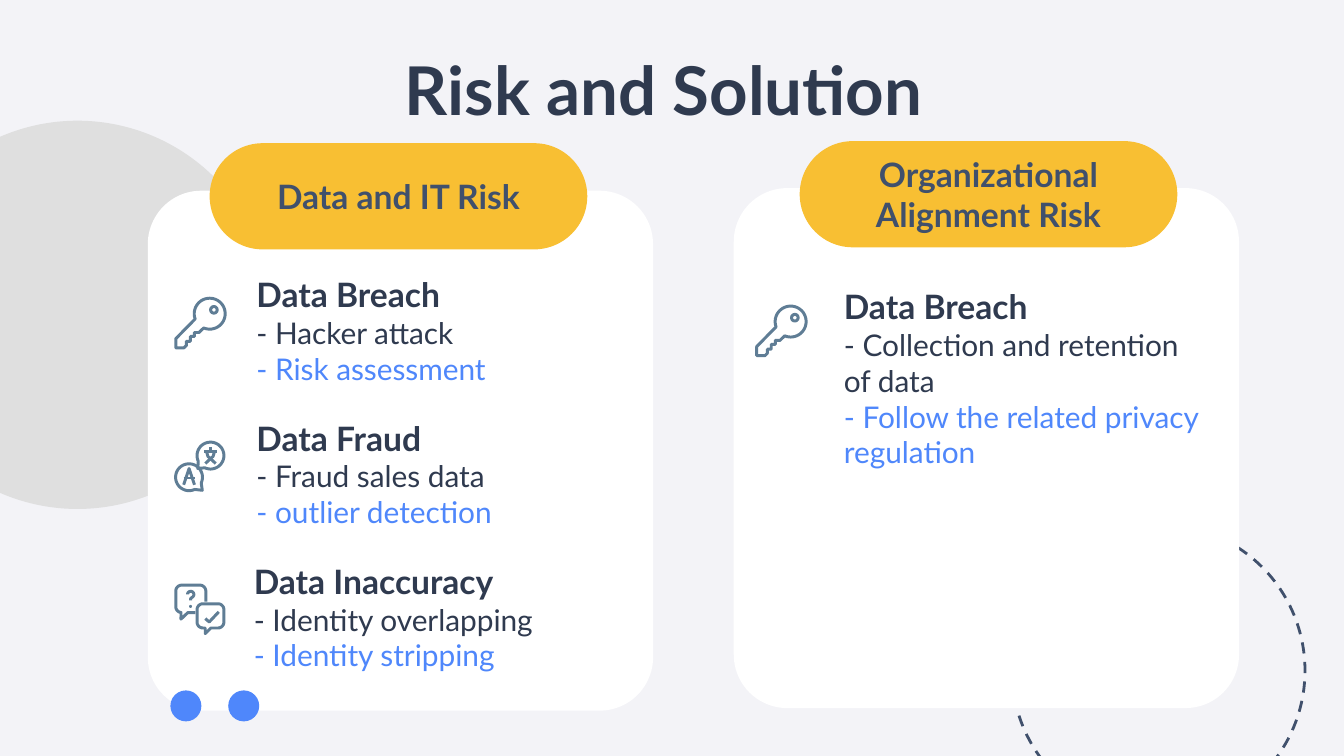
from dataclasses import dataclass
from math import cos, radians, sin
from typing import Callable

from pptx import Presentation
from pptx.dml.color import RGBColor
from pptx.enum.dml import MSO_LINE
from pptx.enum.shapes import MSO_SHAPE
from pptx.enum.text import MSO_ANCHOR, PP_ALIGN
from pptx.util import Pt

NAVY, SLATE, BLUE, STEEL = "2F3A4F", "40506C", "4F87FB", "5F7D95"
WHITE, YELLOW, GREY, PALE = "FFFFFF", "F8BF33", "DFDFDF", "F3F3F7"
INSET = 7.2

Point = tuple[float, float]


@dataclass
class Risk:
    name: str
    threat: str
    remedy: str
    text_box: tuple[float, float, float, float]
    icon_at: Point
    draw_icon: Callable[[float, float], None]


@dataclass
class Card:
    heading: str
    left: float
    top: float
    heading_left: float
    heading_top: float


def colour(value: str) -> RGBColor:
    return RGBColor.from_string(value)


def style(shape, fill: str | None, line: str | None, width: float):
    shape.shadow.inherit = False
    if fill:
        shape.fill.solid()
        shape.fill.fore_color.rgb = colour(fill)
    else:
        shape.fill.background()
    if line:
        shape.line.color.rgb = colour(line)
        shape.line.width = Pt(width)
    else:
        shape.line.fill.background()
    return shape


def add_panel(kind, left: float, top: float, width: float, height: float,
              fill: str | None = None, line: str | None = None, stroke: float = 1.6):
    panel = slide.shapes.add_shape(kind, Pt(left), Pt(top), Pt(width), Pt(height))
    return style(panel, fill, line, stroke)


def add_circle(x: float, y: float, radius: float, **look):
    return add_panel(MSO_SHAPE.OVAL, x - radius, y - radius, 2 * radius, 2 * radius, **look)


def write(frame, text: str, size: float = 18, color: str = NAVY, bold: bool = False,
          align=PP_ALIGN.LEFT, anchor=MSO_ANCHOR.TOP, first: bool = True) -> None:
    frame.word_wrap = True
    frame.vertical_anchor = anchor
    frame.margin_left = frame.margin_right = Pt(INSET)
    frame.margin_top = frame.margin_bottom = Pt(INSET)
    paragraph = frame.paragraphs[0] if first else frame.add_paragraph()
    paragraph.alignment = align
    run = paragraph.add_run()
    run.text = text
    run.font.name = "Lato"
    run.font.size = Pt(size)
    run.font.bold = bold
    run.font.color.rgb = colour(color)


def add_text_frame(left: float, top: float, width: float, height: float):
    return slide.shapes.add_textbox(Pt(left), Pt(top), Pt(width), Pt(height)).text_frame


def add_stroke(left: float, top: float, points: list[Point], close: bool = False) -> None:
    places = [(Pt(left + x), Pt(top + y)) for x, y in points]
    builder = slide.shapes.build_freeform(*places[0])
    builder.add_line_segments(places[1:], close=close)
    style(builder.convert_to_shape(), None, STEEL, 1.6)


def arc(x: float, y: float, radius: float, start: int, end: int) -> list[Point]:
    steps = 40
    angles = [radians(start + (end - start) * i / steps) for i in range(steps + 1)]
    return [(x + radius * cos(a), y + radius * sin(a)) for a in angles]


def draw_key(left: float, top: float) -> None:
    bit = [(0.8, 22.4), (0.8, 27.3), (5.2, 27.3), (6.5, 26), (6.5, 23.8), (8.6, 23.8),
           (8.6, 21.2), (10.8, 21.2), (10.8, 19.1), (13.3, 19.1)]
    add_stroke(left, top, arc(19, 9, 8.3, 113, -200) + bit, close=True)
    add_circle(left + 21.2, top + 6.9, 1.8, line=STEEL)


def draw_translation(left: float, top: float) -> None:
    add_stroke(left, top, arc(19.4, 8.2, 7.2, 115, -205) + [(12.6, 15.1)], close=True)
    add_stroke(left, top, arc(7.9, 19.8, 7.2, 65, 385) + [(15, 26.8)], close=True)
    for letter_stroke in (
        [(5, 23.8), (7.9, 15.1), (10.8, 23.8)],
        [(5, 20.2), (10.8, 20.2)],
        [(15.8, 5.8), (23, 5.8)],
        [(19.4, 3.6), (19.4, 5.8)],
        [(17.2, 5.8), (18, 8.6), (22.2, 12.4)],
        [(21.6, 5.8), (20.8, 8.6), (16.6, 12.4)],
    ):
        add_stroke(left, top, letter_stroke)


def draw_question(left: float, top: float) -> None:
    asking = (arc(13.7, 4, 3.2, 0, -90) + arc(4, 4, 3.2, -90, -180)
              + arc(4, 12.3, 3.2, 180, 97) + [(3.6, 19), (7.3, 15.5), (11.3, 15.5)])
    add_stroke(left, top, [(16.9, 9.7)] + asking)
    answering = (arc(15.4, 14, 3.2, 180, 270) + arc(23.4, 14, 3.2, 270, 360)
                 + arc(23.4, 20.6, 3.2, 0, 90) + [(19.6, 23.8), (16.6, 26.8), (16.6, 23.8)]
                 + arc(15.4, 20.6, 3.2, 90, 180))
    add_stroke(left, top, answering, close=True)
    add_stroke(left, top, [(16.6, 18.7), (18.7, 20.5), (23.8, 15.1)])
    add_stroke(left, top, arc(8.8, 5.8, 1.7, 180, 410) + [(8.8, 7.9), (8.8, 9)])
    add_circle(left + 8.7, top + 12.2, 0.8, fill=STEEL)


def add_card(card: Card) -> None:
    body = add_panel(MSO_SHAPE.ROUNDED_RECTANGLE, card.left, card.top, 270.7, 278.6, fill=WHITE)
    body.adjustments[0] = 0.106


def add_heading(card: Card) -> None:
    pill = add_panel(MSO_SHAPE.ROUNDED_RECTANGLE, card.heading_left, card.heading_top,
                     202.3, 56.9, fill=YELLOW)
    pill.adjustments[0] = 0.5
    write(pill.text_frame, card.heading, color=SLATE, bold=True,
          align=PP_ALIGN.CENTER, anchor=MSO_ANCHOR.MIDDLE)


def add_risk(risk: Risk) -> None:
    frame = add_text_frame(*risk.text_box)
    write(frame, risk.name, bold=True)
    write(frame, risk.threat, size=16, first=False)
    write(frame, risk.remedy, size=16, color=BLUE, first=False)
    risk.draw_icon(*risk.icon_at)


CARDS = [
    Card("Organizational Alignment Risk", 393.1, 100.8, 428.4, 75.6),
    Card("Data and IT Risk", 79.2, 102.2, 112.3, 76.7),
]

ROW_GAP = 76.8
DATA_RISKS = [
    ("Data Breach", "- Hacker attack", "- Risk assessment", 130.3, draw_key),
    ("Data Fraud", "- Fraud sales data", "- outlier detection", 130.3, draw_translation),
    ("Data Inaccuracy", "- Identity overlapping", "- Identity stripping", 128.9, draw_question),
]
RISKS = [
    Risk(name, threat, remedy, (text_left, 139.7 + row * ROW_GAP, 253.4, 77),
         (93.4, 159.1 + row * ROW_GAP), draw_icon)
    for row, (name, threat, remedy, text_left, draw_icon) in enumerate(DATA_RISKS)
]
RISKS.append(Risk("Data Breach", "- Collection and retention of data",
                  "- Follow the related privacy regulation",
                  (445, 146.2, 205.2, 123.8), (404.6, 163.3), draw_key))

deck = Presentation()
deck.slide_width, deck.slide_height = Pt(720), Pt(405)
slide = deck.slides.add_slide(deck.slide_layouts[6])
slide.background.fill.solid()
slide.background.fill.fore_color.rgb = colour(PALE)

add_circle(41.5, 168.7, 104, fill=GREY)
dashed_ring = add_circle(620.6, 359.3, 78.5, line=SLATE, stroke=1.5)
dashed_ring.line.dash_style = MSO_LINE.DASH

for card in CARDS:
    add_card(card)
for dot_x in (99.6, 130.6):
    add_circle(dot_x, 378.2, 8.3, fill=BLUE)

write(add_text_frame(56.2, 18.7, 607.7, 58.3), "Risk and Solution ", size=36, bold=True,
      align=PP_ALIGN.CENTER)
for card in CARDS:
    add_heading(card)
for risk in RISKS:
    add_risk(risk)

deck.save("out.pptx")
